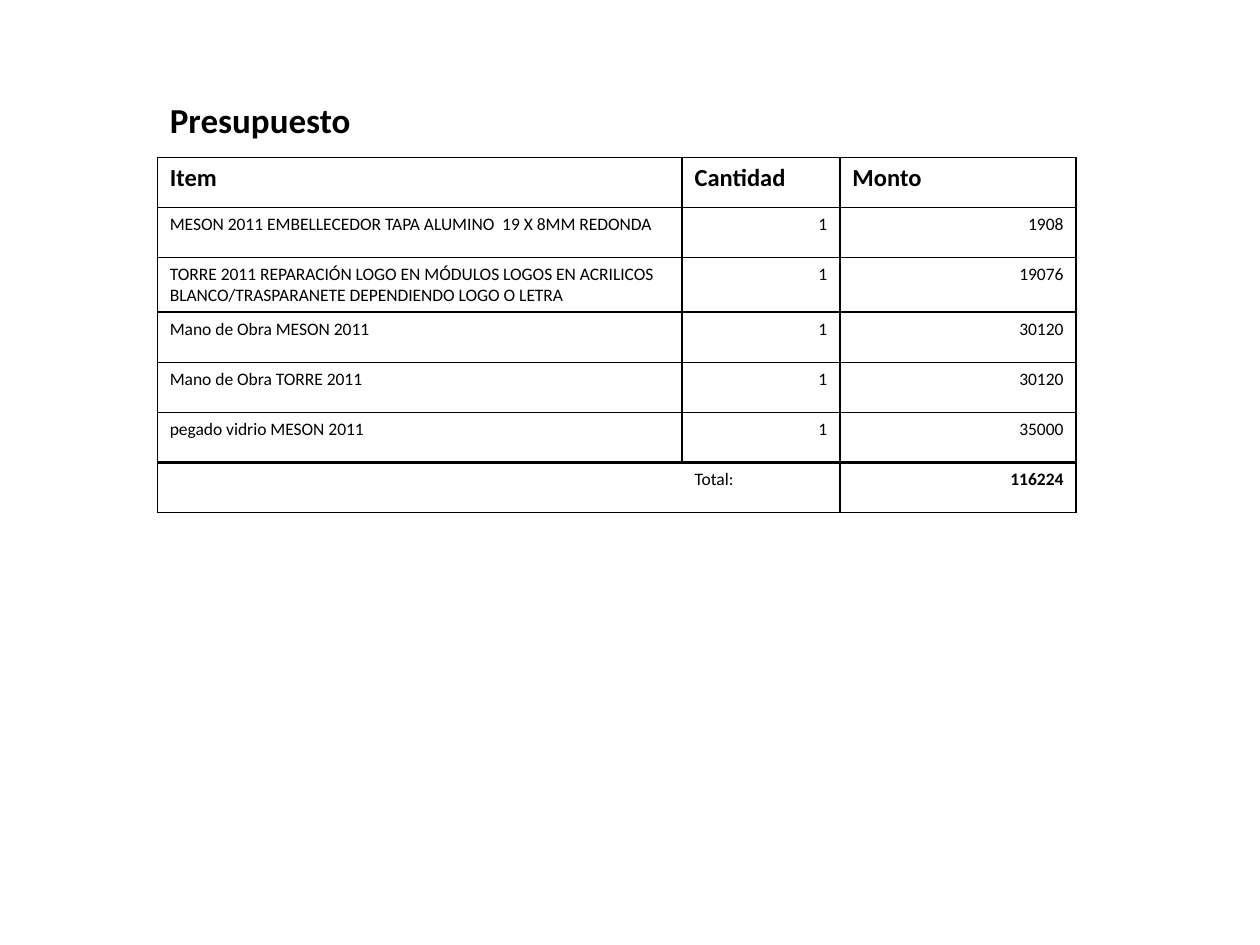
"""Build the budget slide: a title above a bordered table of items and amounts."""
from lxml.etree import SubElement
from pptx import Presentation
from pptx.dml.color import RGBColor
from pptx.enum.text import MSO_ANCHOR as ANCHOR, MSO_AUTO_SIZE as AUTO, PP_ALIGN as AL
from pptx.oxml.ns import qn
from pptx.util import Cm, Pt

TITLE = "Presupuesto"
HEADER = ("Item", "Cantidad", "Monto")
ITEMS = [
    ("MESON 2011 EMBELLECEDOR TAPA ALUMINO  19 X 8MM REDONDA", 1, 1908),
    ("TORRE 2011 REPARACIÓN LOGO EN MÓDULOS LOGOS EN ACRILICOS "
     "BLANCO/TRASPARANETE DEPENDIENDO LOGO O LETRA", 1, 19076),
    ("Mano de Obra MESON 2011", 1, 30120),
    ("Mano de Obra TORRE 2011", 1, 30120),
    ("pegado vidrio MESON 2011", 1, 35000),
]
TOTAL = ("", "Total:", sum(amount for *_, amount in ITEMS))
ROWS = [HEADER, *ITEMS, TOTAL]
COL_WIDTHS = (10.58, 3.18, 4.76)
ROW_HEIGHT = 1.01
LEFT, TITLE_TOP, TABLE_TOP = 3.17, 1.85, 3.17

BLACK = RGBColor(0, 0, 0)
WHITE = RGBColor(255, 255, 255)
BASE = {"name": "Calibri", "bold": False}
TITLE_FONT = {**BASE, "size": Pt(20), "bold": True}
HEADER_FONT = {**BASE, "size": Pt(14), "bold": True}
BODY_FONT = {**BASE, "size": Pt(10)}
TOTAL_FONT = {**BODY_FONT, "bold": True}


def set_font(font, values):
    for name, value in values.items():
        setattr(font, name, value)
    font.color.rgb = BLACK


def write(tf, text, values, align=AL.LEFT):
    p = tf.paragraphs[0]
    p.alignment = align
    if text:
        r = p.add_run()
        r.text = text
        set_font(r.font, values)
    else:
        set_font(p.font, values)


def set_borders(cell, widths):
    tcPr = cell._tc.get_or_add_tcPr()
    for side, width in widths.items():
        ln = SubElement(tcPr, qn(f"a:ln{side}"), w=str(Pt(width)))
        if width:
            fill = SubElement(ln, qn("a:solidFill"))
            SubElement(fill, qn("a:srgbClr"), val=str(BLACK))
        else:
            SubElement(ln, qn("a:noFill"))


def add_title(s):
    sp = s.shapes.title
    sp.left, sp.top = Cm(LEFT), Cm(TITLE_TOP)
    sp.width, sp.height = Cm(15.88), Cm(1.1)
    tf = sp.text_frame
    tf.word_wrap, tf.auto_size = True, AUTO.SHAPE_TO_FIT_TEXT
    tf.vertical_anchor = ANCHOR.TOP
    write(tf, TITLE, TITLE_FONT)


def add_budget(s):
    last = len(ROWS) - 1
    table = s.shapes.add_table(
        len(ROWS), len(HEADER), Cm(LEFT), Cm(TABLE_TOP),
        Cm(sum(COL_WIDTHS)), Cm(ROW_HEIGHT * len(ROWS))).table
    table.first_row = table.horz_banding = False
    for column, width in zip(table.columns, COL_WIDTHS):
        column.width = Cm(width)
    for i, row in enumerate(ROWS):
        table.rows[i].height = Cm(ROW_HEIGHT)
        for j, value in enumerate(row):
            cell = table.cell(i, j)
            number = isinstance(value, int)
            values = HEADER_FONT if i == 0 else TOTAL_FONT if i == last and number else BODY_FONT
            write(cell.text_frame, str(value), values, AL.RIGHT if number else AL.LEFT)
            set_borders(cell, {
                "L": 0 if (i, j) == (last, 1) else 1,
                "R": 0 if (i, j) == (last, 0) else 1,
                "T": 2 if i == last else 1,
                "B": 2 if i == last - 1 else 1,
            })
            cell.fill.solid()
            cell.fill.fore_color.rgb = WHITE


def main():
    prs = Presentation()
    prs.slide_width, prs.slide_height = Cm(25.4), Cm(19.05)
    s = prs.slides.add_slide(prs.slide_layouts[5])
    add_title(s)
    add_budget(s)
    prs.save("out.pptx")


if __name__ == "__main__":
    main()
